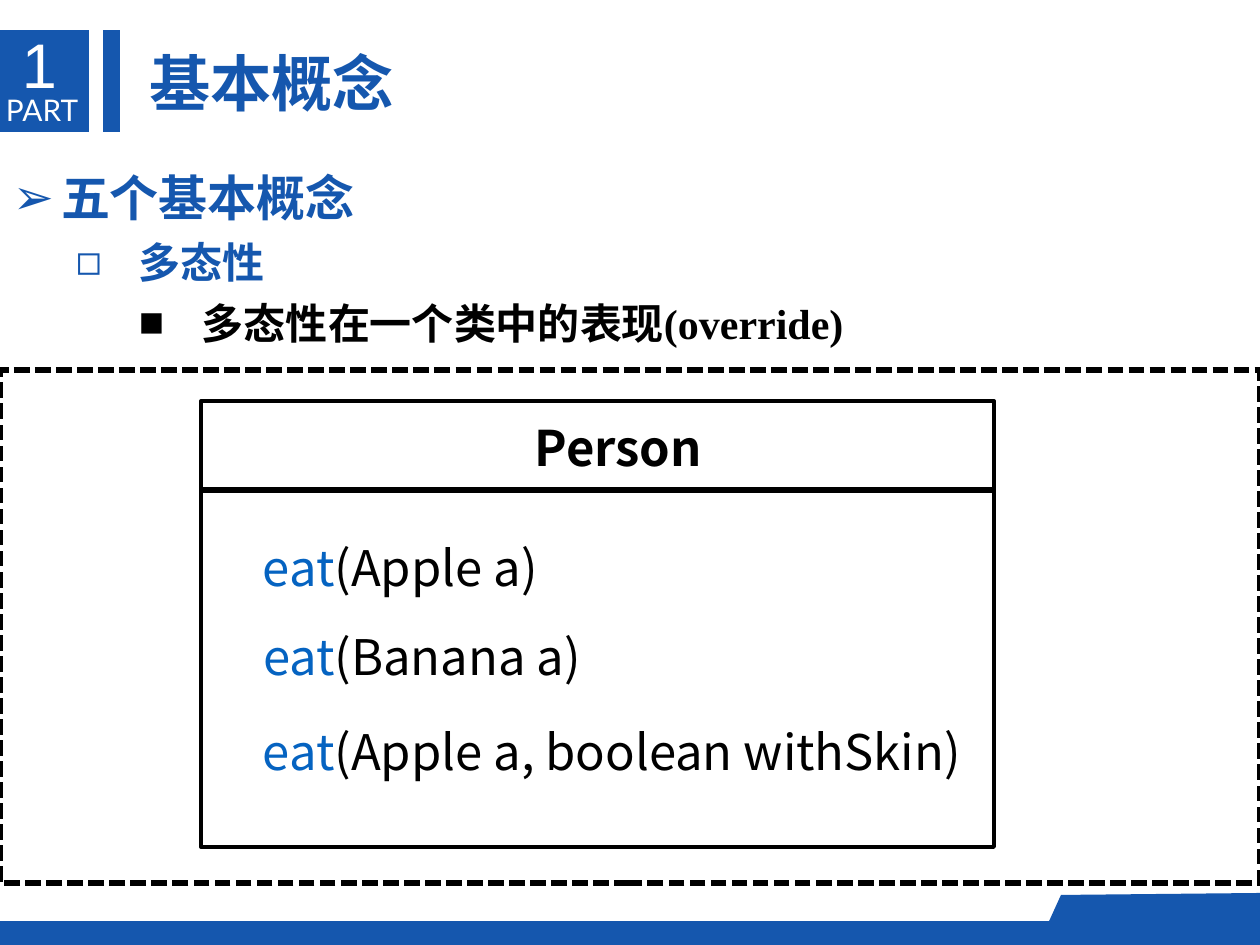
from lxml import etree
from pptx import Presentation
from pptx.dml.color import RGBColor
from pptx.enum.dml import MSO_LINE
from pptx.enum.shapes import MSO_CONNECTOR, MSO_SHAPE
from pptx.enum.text import MSO_ANCHOR, MSO_AUTO_SIZE, PP_ALIGN
from pptx.oxml.ns import qn
from pptx.util import Emu, Pt

PX = 914400 // 126
RECT, BLOCK = MSO_SHAPE.RECTANGLE, MSO_SHAPE.FLOWCHART_PROCESS
STRAIGHT = MSO_CONNECTOR.STRAIGHT
DASH = MSO_LINE.SQUARE_DOT
TOP, GROW = MSO_ANCHOR.TOP, MSO_AUTO_SIZE.SHAPE_TO_FIT_TEXT
LEFT, CENTER = PP_ALIGN.LEFT, PP_ALIGN.CENTER
SANS, SERIF = "Noto Sans CJK SC", "Times New Roman"
COLORS = {"blue": "1557AE", "link": "0563C1", "black": "000000", "white": "FFFFFF"}


def px(*vals):
    return [Emu(v * PX) for v in vals]


def color(name):
    return RGBColor.from_string(COLORS[name])


def indent(para, left, hang, mark=None):
    """Set a hanging indent and, if given, a bullet."""
    props = para._p.get_or_add_pPr()
    props.set("marL", str(left * PX))
    props.set("indent", str(-hang * PX))
    if mark:
        etree.SubElement(props, qn("a:buChar")).set("char", mark)


def write(para, text, size=28, font=SANS, tone="black", bold=False):
    run = para.add_run()
    run.text = text
    run.font.size, run.font.name, run.font.bold = Pt(size), font, bold
    run.font.color.rgb = color(tone)
    asian = etree.SubElement(run._r.get_or_add_rPr(), qn("a:ea"))
    asian.set("typeface", SANS)


def frame(shape, wrap=True, pad=(13, 6)):
    text = shape.text_frame
    text.word_wrap, text.auto_size = wrap, GROW
    text.vertical_anchor = TOP
    text.margin_left = text.margin_right = px(pad[0])[0]
    text.margin_top = text.margin_bottom = px(pad[1])[0]
    return text.paragraphs[0]


def place(shape, *box):
    shape.left, shape.top, shape.width, shape.height = px(*box)
    return shape


def label(shapes, box, wrap=False, pad=(13, 6)):
    return frame(shapes.add_textbox(*px(*box)), wrap, pad)


def solid(shape):
    shape.shadow.inherit = False
    shape.fill.solid()
    shape.fill.fore_color.rgb = color("blue")
    shape.line.fill.background()


def outline(shapes, box, width):
    shape = shapes.add_shape(RECT, *px(*box))
    shape.shadow.inherit = False
    shape.fill.background()
    shape.line.color.rgb = color("black")
    shape.line.width = Pt(width)
    return shape


def method(shapes, top, width, args):
    para = label(shapes, (200, top, width, 72), True, (0, 6))
    indent(para, 136, 73)
    write(para, "eat", tone="link")
    write(para, args)


def person(slide):
    """Class box with its name above a rule."""
    shapes = slide.shapes.add_group_shape().shapes
    outline(shapes, (201, 401, 793, 446), 2.25)
    para = label(shapes, (428, 411, 318, 72), True, (0, 6))
    para.alignment = CENTER
    indent(para, 136, 73)
    write(para, "Person", bold=True)
    rule = shapes.add_connector(STRAIGHT, *px(201, 490, 994, 490))
    rule.line.color.rgb = color("black")
    rule.line.width = Pt(3)
    etree.SubElement(rule._element.spPr, qn("a:effectLst"))


def main():
    deck = Presentation()
    deck.slide_width, deck.slide_height = px(1260, 945)
    slide = deck.slides.add_slide(deck.slide_layouts[1])
    shapes = slide.shapes

    # Blue bars and the raised corner of the footer
    for box in ((0, 30, 89, 102), (103, 30, 17, 102), (0, 921, 1260, 24)):
        solid(shapes.add_shape(BLOCK, *px(*box)))
    corner = shapes.build_freeform(1260, 939, scale=PX)
    corner.add_line_segments([(1260, 893), (1061, 895), (1041, 939)])
    solid(corner.convert_to_shape())

    # Part number
    write(label(shapes, (6, 92, 76, 37), pad=(0, 0)), "PART", size=17, font="Lato", tone="white")
    write(label(shapes, (9, 20, 67, 89)), "1", size=36, font="Arial", tone="white")

    # Title and outline
    head = frame(place(shapes.title, 136, 39, 273, 87), False)
    head.alignment = LEFT
    write(head, "基本概念", size=35, tone="blue", bold=True)
    body = place(slide.placeholders[1], 0, 150, 1260, 262)
    para = frame(body)
    points = (
        ("五个基本概念", "➢", 1, 48, 48, 28, SANS, "blue"),
        ("多态性", "◻", 1, 126, 63, 24, SERIF, "blue"),
        ("多态性在一个类中的表现(override)", "■", 2, 189, 63, 24, SERIF, "black"),
    )
    for i, (text, mark, level, left, hang, size, font, tone) in enumerate(points):
        if i:
            para = body.text_frame.add_paragraph()
        para.level = level
        indent(para, left, hang, mark)
        para.line_spacing, para.space_before = 1.2, Pt(0)
        write(para, text, size=size, font=font, tone=tone, bold=True)

    # Class diagram in a dashed frame
    outline(shapes, (0, 370, 1260, 513), 3).line.dash_style = DASH
    person(slide)
    for top, width, args in (
        (532, 404, "(Apple a)"),
        (621, 536, "(Banana a)"),
        (716, 820, "(Apple a, boolean withSkin)"),
    ):
        method(shapes, top, width, args)

    deck.save("out.pptx")


if __name__ == "__main__":
    main()
